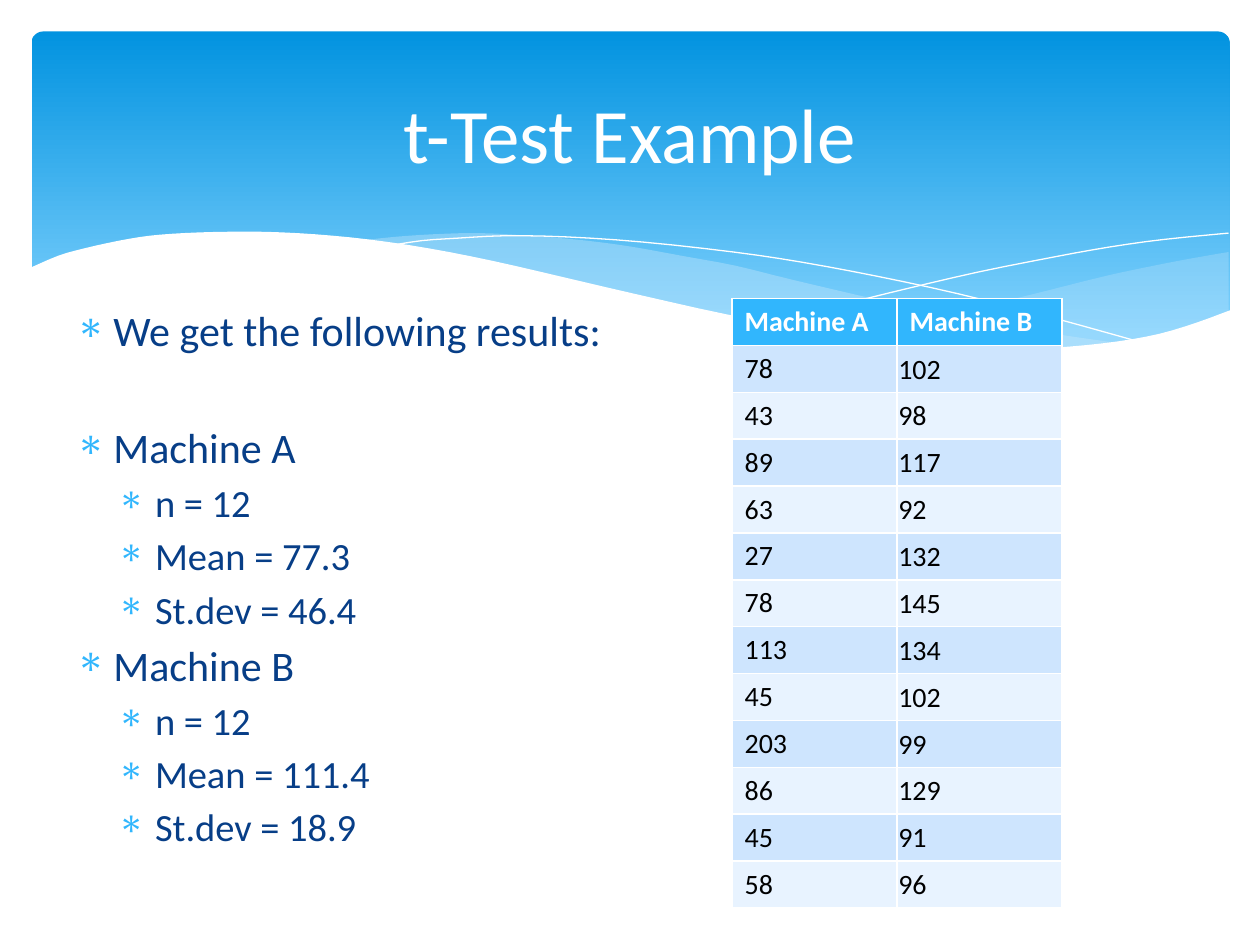
from lxml.etree import SubElement
from pptx import Presentation
from pptx.dml.color import RGBColor
from pptx.enum.shapes import MSO_SHAPE as Kind
from pptx.enum.text import MSO_ANCHOR as Anchor, PP_ALIGN as Align
from pptx.oxml.ns import qn
from pptx.util import Pt

FONT = "Calibri"
HEX = {
    "deep": "0293E0", "sky": "83D3FE", "mist": "C6E7FC", "white": "FFFFFF",
    "navy": "073E87", "head": "31B6FD", "odd": "CEE5FE", "even": "E8F3FF",
    "black": "000000",
}

# Wave edges, in points from the corner of the wave box
RIGHT_TOP = [(685.4, 11.5), (656.6, 16.6), (625, 23), (603.4, 28.1),
             (563, 38.2), (525.6, 46.1), (491.8, 52.6), (459.4, 58.3)]
RIGHT_LOW = [(459.4, 58.3), (481, 61.2), (510.5, 64.8), (537.1, 67),
             (569.5, 67.7), (598.3, 66.2), (623.5, 63.4), (646.6, 58.3),
             (666.7, 52.6), (685.4, 45.4)]
MID_TOP = [(626.4, 64.1), (586.1, 58.3), (541.4, 50.4), (491.8, 40.3),
           (436.3, 27.4), (403.9, 19.4), (373, 13.7), (344.9, 8.6),
           (318.2, 5), (285.8, 2.2), (257, 0.7), (231.1, 1.4),
           (208.8, 2.9), (189.4, 5)]
MID_LOW = [(189.4, 5), (216, 8.6), (244.1, 13.7), (274.3, 19.4),
           (306.7, 27.4), (365, 40.3), (403.9, 49), (439.9, 55.4),
           (473, 60.5), (503.3, 64.8), (531.4, 67), (564.5, 67.7),
           (594, 67), (626.4, 64.1)]
FALL = [(205.9, 7.9), (224.6, 5), (244.8, 3.6), (272.2, 2.2), (307.4, 2.9),
        (350.6, 5.8), (402.5, 11.5), (441.4, 17.3), (483.8, 25.2),
        (530.6, 35.3), (581.8, 48.2), (636.5, 63.4)]
RISE = [(424.8, 52.6), (467.3, 41), (501.8, 32.4), (542.2, 23),
        (585.4, 14.4), (617.8, 8.6), (648.7, 4.3), (685.4, 0.7)]
FRONT = [(686.9, 44.6), (667.4, 51.8), (645.8, 58.3), (622.1, 62.6),
         (595.4, 65.5), (565.9, 67), (531.4, 65.5), (493.2, 61.9),
         (450, 56.2), (400.3, 47.5), (345.6, 35.3), (305.3, 25.9),
         (265, 16.6), (228.2, 9.4), (193.7, 4.3), (163.4, 1.4), (135.4, 0),
         (110.9, 0), (88.6, 0.7), (69.1, 2.2), (51.8, 5), (31.7, 9.4),
         (16.6, 13.7), (0, 20.9)]
BASE = [(0, 104.4), (686.9, 104.4)]

ITEMS = [
    (0, "We get the following results:"),
    (0, "Machine A"), (1, "n = 12"), (1, "Mean = 77.3"), (1, "St.dev = 46.4"),
    (0, "Machine B"), (1, "n = 12"), (1, "Mean = 111.4"), (1, "St.dev = 18.9"),
]
HEADS = ("Machine A", "Machine B")
RUNS_A = (78, 43, 89, 63, 27, 78, 113, 45, 203, 86, 45, 58)
RUNS_B = (102, 98, 117, 92, 132, 145, 134, 102, 99, 129, 91, 96)


def tint(name):
    return RGBColor.from_string(HEX[name])


def style(font, size, color, bold=False):
    font.name, font.size, font.bold = FONT, Pt(size), bold
    font.color.rgb = tint(color)


def place(shape, box):
    shape.left, shape.top, shape.width, shape.height = map(Pt, box)


def smooth(knots, steps=3):
    """Points on a Catmull-Rom curve through the knots."""
    ends = [knots[0], *knots, knots[-1]]
    curve = [knots[0]]
    for a, b, c, d in zip(ends, ends[1:], ends[2:], ends[3:]):
        for n in range(1, steps + 1):
            t = n / steps
            curve.append(tuple(
                q + t * ((r - p) + t * ((2 * p - 5 * q + 4 * r - s)
                                        + t * (3 * q - p - 3 * r + s))) / 2
                for p, q, r, s in zip(a, b, c, d)))
    return curve


def draw(slide, box, points, close):
    spots = [(Pt(box[0] + x), Pt(box[1] + y)) for x, y in points]
    pen = slide.shapes.build_freeform(*spots[0])
    pen.add_line_segments(spots[1:], close=close)
    shape = pen.convert_to_shape()
    shape.shadow.inherit = False
    return shape


def add_wave(slide, box, points, color, alpha=100):
    wave = draw(slide, box, points, True)
    wave.fill.solid()
    wave.fill.fore_color.rgb = tint(color)
    wave.line.fill.background()
    if alpha < 100:
        node = wave.element.spPr.find(".//" + qn("a:srgbClr"))
        SubElement(node, qn("a:alpha"), val=str(alpha * 1000))


def add_thread(slide, box, knots):
    thread = draw(slide, box, smooth(knots), False)
    thread.fill.background()
    thread.line.color.rgb = tint("white")
    thread.line.width = Pt(0)


def add_banner(slide, box):
    x, y, w, h = box
    panel = slide.shapes.add_shape(Kind.ROUNDED_RECTANGLE, *map(Pt, box))
    panel.adjustments[0] = 0.034
    panel.shadow.inherit = False
    panel.line.fill.background()
    panel.fill.gradient()
    panel.fill.gradient_angle = 270
    for stop, name, spot in zip(panel.fill.gradient_stops,
                                ("deep", "sky"), (0, 0.9)):
        stop.color.rgb, stop.position = tint(name), spot

    sea = (x - 1.4, y + 114.5)
    add_wave(slide, sea, smooth(RIGHT_TOP) + smooth(RIGHT_LOW), "mist", 29)
    add_wave(slide, sea, smooth(MID_TOP) + smooth(MID_LOW), "mist", 40)
    add_thread(slide, sea, FALL)
    add_thread(slide, sea, RISE)
    add_wave(slide, sea, smooth(FRONT) + BASE, "white")


def set_title(title, box):
    place(title, box)
    frame = title.text_frame
    frame.text = "t-Test Example"
    frame.vertical_anchor = Anchor.MIDDLE
    para = frame.paragraphs[0]
    para.alignment = Align.CENTER
    style(para.runs[0].font, 44, "white")


def add_bullet(para, left):
    props = para._p.get_or_add_pPr()
    props.set("marL", str(Pt(left)))
    props.set("indent", str(Pt(-21.6)))
    color = SubElement(props, qn("a:buClr"))
    SubElement(color, qn("a:srgbClr"), val=HEX["head"])
    SubElement(props, qn("a:buFont"), typeface="Symbol")
    SubElement(props, qn("a:buChar"), char="∗")


def set_list(body, box):
    place(body, box)
    frame = body.text_frame
    frame.vertical_anchor = Anchor.TOP
    for n, (level, text) in enumerate(ITEMS):
        para = frame.add_paragraph() if n else frame.paragraphs[0]
        para.text, para.level = text, level
        add_bullet(para, (21.6, 45.4)[level])
        gap = (4.4, 4)[level]
        para.space_before = Pt({0: 0, 1: 38.1}.get(n, gap))
        style(para.runs[0].font, (24, 22)[level], "navy")


def add_data(slide, box):
    rows = [HEADS, *zip(RUNS_A, RUNS_B)]
    table = slide.shapes.add_table(len(rows), 2, *map(Pt, box)).table
    for r, row in enumerate(rows):
        for c, value in enumerate(row):
            cell = table.cell(r, c)
            cell.text = str(value)
            cell.fill.solid()
            fill = ("even", "odd")[r % 2] if r else "head"
            cell.fill.fore_color.rgb = tint(fill)
            font = cell.text_frame.paragraphs[0].runs[0].font
            style(font, 16, "black" if r else "white", not r)
            if r and c:
                cell.vertical_anchor = Anchor.MIDDLE
                cell.margin_left = cell.margin_right = Pt(0.75)
                cell.margin_top, cell.margin_bottom = Pt(0.75), Pt(0)


def main():
    deck = Presentation()
    deck.slide_width, deck.slide_height = Pt(720), Pt(540)
    slide = deck.slides.add_slide(deck.slide_layouts[1])
    title, body = slide.placeholders
    add_banner(slide, (18, 18, 684.7, 194.4))
    for holder in (title, body):
        slide.shapes.element.append(holder.element)
    set_title(title, (36, 26.6, 648, 98.6))
    set_list(body, (36, 170.6, 427.7, 356.4))
    add_data(slide, (418.3, 170.6, 188.6, 347.75))
    deck.save("out.pptx")


if __name__ == "__main__":
    main()
